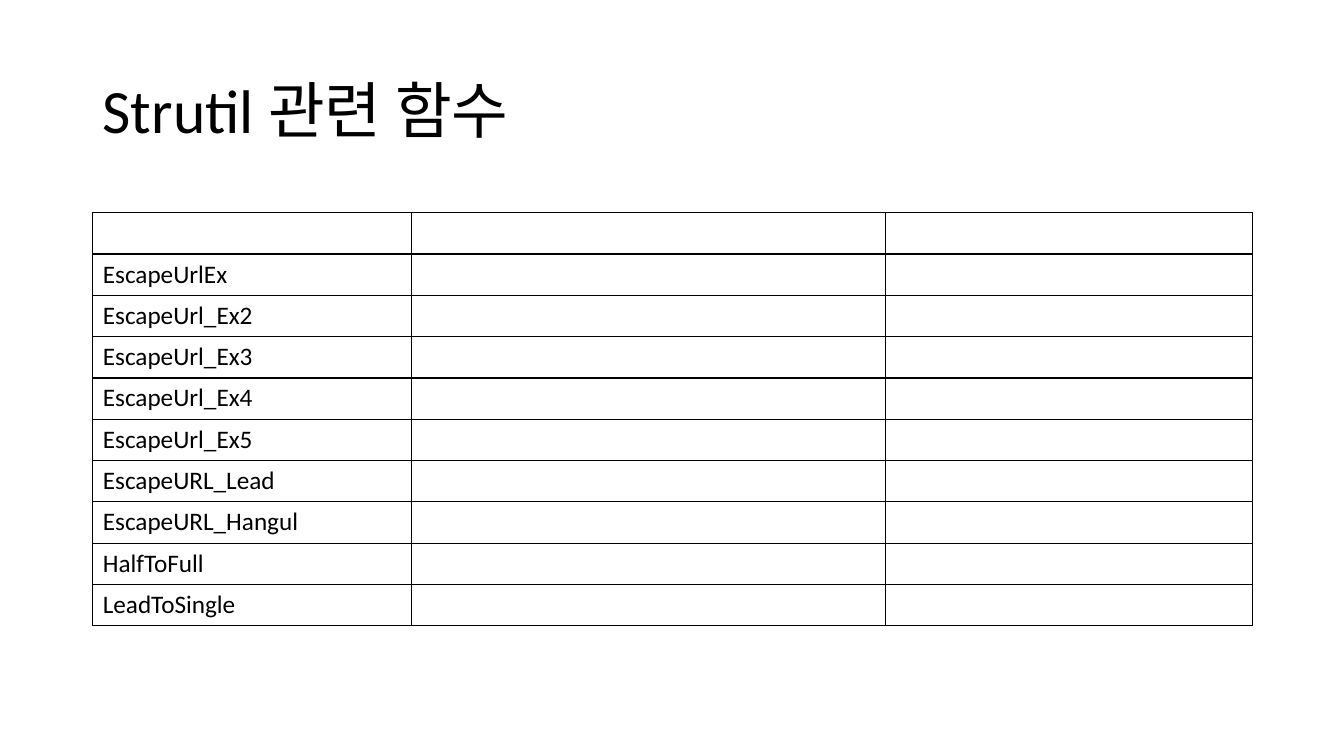
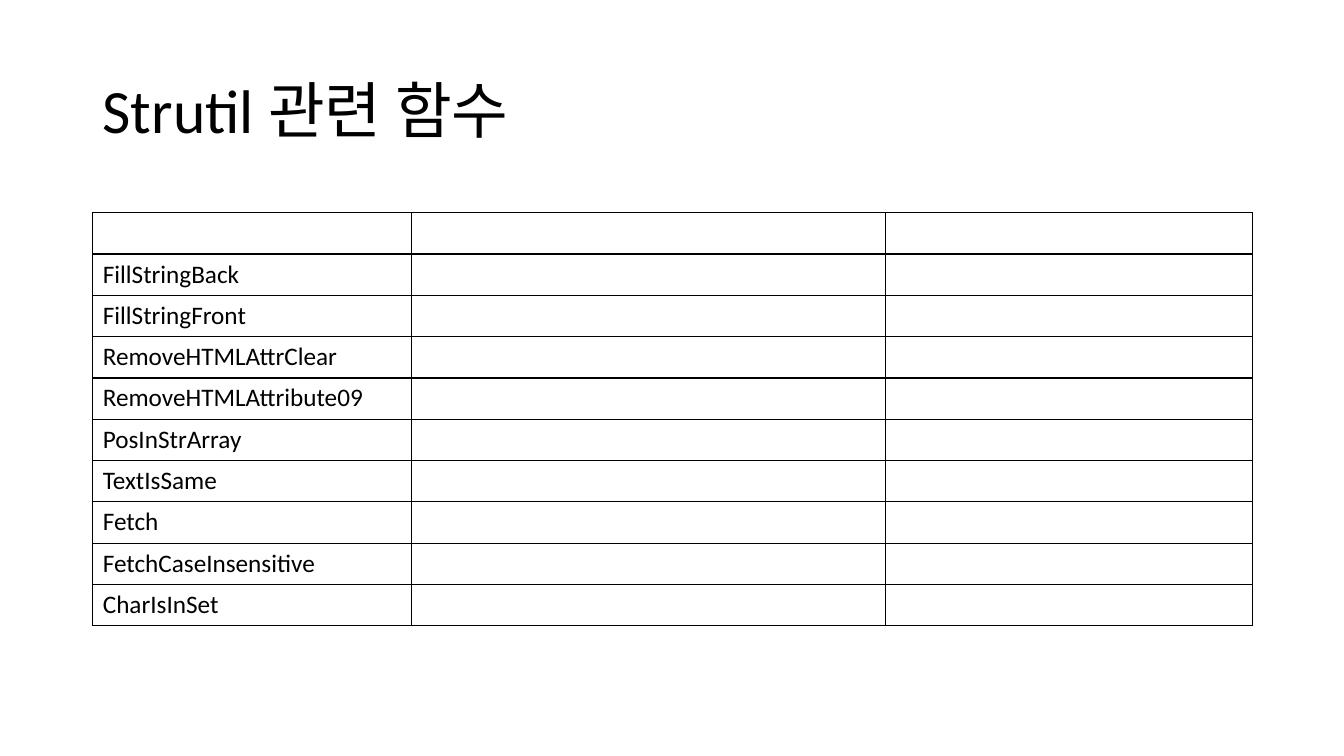
from lxml.etree import SubElement
from pptx import Presentation
from pptx.dml.color import RGBColor
from pptx.enum.text import MSO_ANCHOR
from pptx.oxml.ns import qn
from pptx.util import Inches, Pt

TITLE = "Strutil 관련 함수"
FUNCTION_LISTS = [
    ["EscapeUrlEx", "EscapeUrl_Ex2", "EscapeUrl_Ex3", "EscapeUrl_Ex4",
     "EscapeUrl_Ex5", "EscapeURL_Lead", "EscapeURL_Hangul", "HalfToFull",
     "LeadToSingle"],
    ["FillStringBack", "FillStringFront", "RemoveHTMLAttrClear",
     "RemoveHTMLAttribute09", "PosInStrArray", "TextIsSame", "Fetch",
     "FetchCaseInsensitive", "CharIsInSet"],
]

FONT = "Calibri"
INK = "000000"
WIDTH, HEIGHT = 13.33, 7.5
LEFT, CONTENT_WIDTH = 0.92, 11.5
TITLE_TOP, TITLE_HEIGHT = 0.4, 1.45
TABLE_TOP, ROW_HEIGHT = 2.11, 0.41
COLUMN_WIDTHS = [3.16, 4.7, 3.64]
BORDER_SIDES = ["a:lnL", "a:lnR", "a:lnT", "a:lnB"]


def color(value):
    return RGBColor.from_string(value)


def style_font(font, size):
    font.name = FONT
    font.size = Pt(size)
    font.color.rgb = color(INK)


def add_title(page, text):
    box = page.shapes.add_textbox(Inches(LEFT), Inches(TITLE_TOP),
                                  Inches(CONTENT_WIDTH), Inches(TITLE_HEIGHT))
    frame = box.text_frame
    frame.word_wrap = True
    frame.vertical_anchor = MSO_ANCHOR.MIDDLE
    frame.text = text
    para = frame.paragraphs[0]
    para.line_spacing = 0.9
    style_font(para.runs[0].font, 44)


def add_borders(cell):
    properties = cell._tc.get_or_add_tcPr()
    for side in BORDER_SIDES:
        line = SubElement(properties, qn(side), w=str(Pt(1)))
        fill = SubElement(line, qn("a:solidFill"))
        SubElement(fill, qn("a:srgbClr"), val=INK)


def add_function_table(page, names):
    labels = [""] + names
    frame = page.shapes.add_table(len(labels), len(COLUMN_WIDTHS),
                                  Inches(LEFT), Inches(TABLE_TOP),
                                  Inches(CONTENT_WIDTH),
                                  Inches(ROW_HEIGHT * len(labels)))
    table = frame.table
    table.first_row = False
    table.horz_banding = False
    for column, width in zip(table.columns, COLUMN_WIDTHS):
        column.width = Inches(width)
    for row, label in zip(table.rows, labels):
        row.height = Inches(ROW_HEIGHT)
        for cell in row.cells:
            add_borders(cell)
            cell.fill.background()
            style_font(cell.text_frame.paragraphs[0].font, 18)
        if label:
            para = row.cells[0].text_frame.paragraphs[0]
            para.text = label
            style_font(para.runs[0].font, 18)


def main():
    deck = Presentation()
    deck.slide_width = Inches(WIDTH)
    deck.slide_height = Inches(HEIGHT)
    for names in FUNCTION_LISTS:
        page = deck.slides.add_slide(deck.slide_layouts[6])
        add_function_table(page, names)
        add_title(page, TITLE)
    deck.save("out.pptx")


if __name__ == "__main__":
    main()
